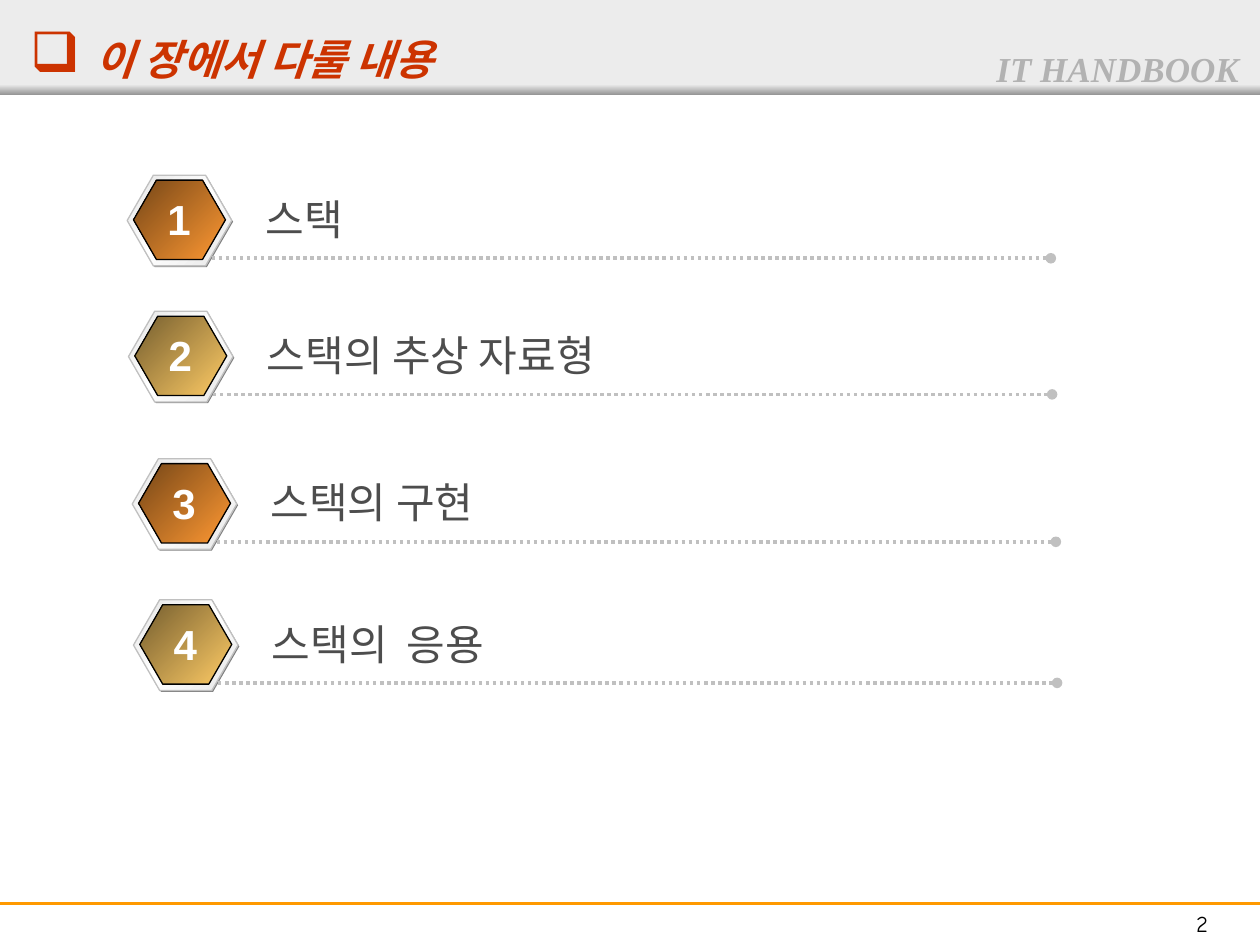
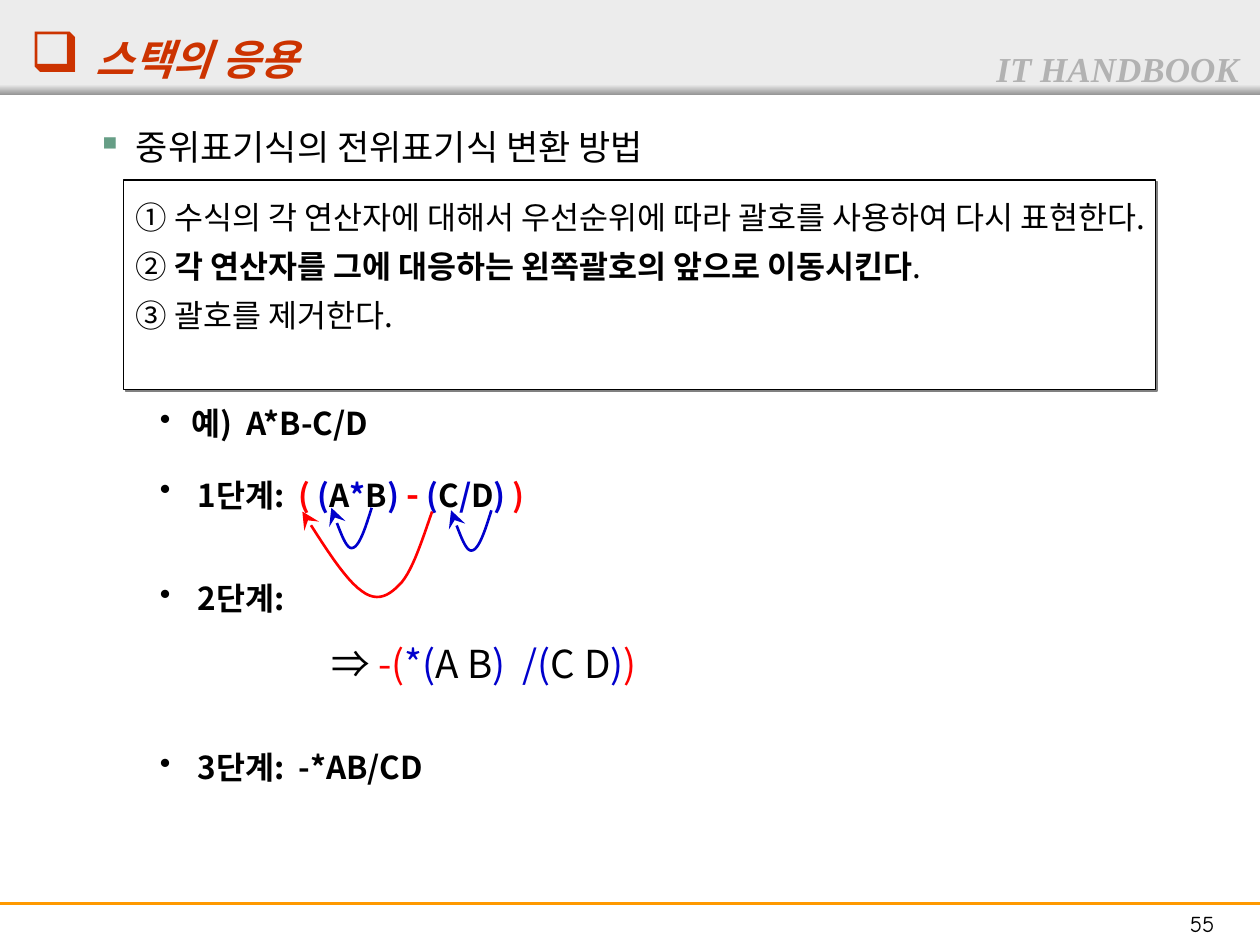
"""Build two lecture slides about stacks: the chapter contents and a prefix conversion."""
from dataclasses import dataclass
from typing import Optional

from lxml.etree import SubElement
from pptx import Presentation
from pptx.dml.color import RGBColor
from pptx.enum.dml import MSO_LINE
from pptx.enum.shapes import MSO_CONNECTOR, MSO_SHAPE
from pptx.enum.text import MSO_ANCHOR, PP_ALIGN
from pptx.oxml.ns import qn
from pptx.util import Inches, Pt

COLORS = {
    "band": "ECECEC", "band_edge": "979797", "footer": "FF9900", "series": "B2B2B2",
    "title": "CC3300", "black": "000000", "white": "FFFFFF", "label": "4D4D4D",
    "rim": "E6E6E6", "silver": "C0C0C0", "shade": "808080", "square": "669E86",
    "orange": "FF9933", "brown": "754617", "gold": "FFCC66", "olive": "755E2F",
    "red": "FF0000", "blue": "0000CC",
}
KOREAN = "Noto Sans CJK KR"
CURVE_STEPS = 12


@dataclass
class Span:
    text: str
    color: Optional[str] = None
    bold: Optional[bool] = None
    size: Optional[float] = None


@dataclass
class Para:
    spans: list[Span]
    size: float
    color: str = "black"
    font: str = KOREAN
    bold: bool = False
    italic: bool = False
    line: Optional[float] = None
    before: float = 0
    margin: float = 0
    hang: float = 0
    bullet: str = ""
    bullet_color: str = "black"
    bullet_percent: int = 100
    align: PP_ALIGN = PP_ALIGN.LEFT


@dataclass
class Topic:
    text: str
    left: float
    top: float
    light: str
    dark: str


@dataclass
class Arrow:
    color: str
    start: tuple
    curves: list


def rgb(name: str) -> RGBColor:
    return RGBColor.from_string(COLORS[name])


def add_bullet(properties, para: Para) -> None:
    if not para.bullet:
        SubElement(properties, qn("a:buNone"))
        return
    color = SubElement(properties, qn("a:buClr"))
    SubElement(color, qn("a:srgbClr"), val=COLORS[para.bullet_color])
    SubElement(properties, qn("a:buSzPct"), val=str(para.bullet_percent * 1000))
    SubElement(properties, qn("a:buChar"), char=para.bullet)


def write_paras(shape, paras: list[Para], top_inset: float = 0.05, wrap: bool = True) -> None:
    frame = shape.text_frame
    frame.word_wrap = wrap
    frame.vertical_anchor = MSO_ANCHOR.TOP
    frame.margin_left = frame.margin_right = Inches(0.1)
    frame.margin_top, frame.margin_bottom = Inches(top_inset), Inches(0.05)
    for index, para in enumerate(paras):
        paragraph = frame.add_paragraph() if index else frame.paragraphs[0]
        properties = paragraph._p.get_or_add_pPr()
        properties.set("marL", str(Inches(para.margin)))
        properties.set("indent", str(Inches(-para.hang)))
        add_bullet(properties, para)
        paragraph.alignment = para.align
        if para.line:
            paragraph.line_spacing = Pt(para.line)
        if para.before:
            paragraph.space_before = Pt(para.before)
        font = paragraph.font
        font.size, font.bold, font.italic = Pt(para.size), para.bold, para.italic
        font.color.rgb = rgb(para.color)
        font.name = para.font
        SubElement(properties.find(qn("a:defRPr")), qn("a:ea"), typeface=para.font)
        for span in para.spans:
            run = paragraph.add_run()
            run.text = span.text
            if span.color:
                run.font.color.rgb = rgb(span.color)
            if span.bold is not None:
                run.font.bold = span.bold
            if span.size:
                run.font.size = Pt(span.size)


def add_text(page, left: float, top: float, width: float, height: float,
             paras: list[Para], top_inset: float = 0.05, wrap: bool = True) -> None:
    box = page.shapes.add_textbox(Inches(left), Inches(top), Inches(width), Inches(height))
    write_paras(box, paras, top_inset, wrap)


def fill_gradient(shape, stops: list[str], angle: int) -> None:
    shape.fill.gradient()
    gradient = shape._element.spPr.find(qn("a:gradFill"))
    for child in list(gradient):
        gradient.remove(child)
    stop_list = SubElement(gradient, qn("a:gsLst"))
    for index, name in enumerate(stops):
        position = 100000 * index // (len(stops) - 1)
        stop = SubElement(stop_list, qn("a:gs"), pos=str(position))
        SubElement(stop, qn("a:srgbClr"), val=COLORS[name])
    SubElement(gradient, qn("a:lin"), ang=str(angle * 60000), scaled="0")


def add_block(page, kind: MSO_SHAPE, left: float, top: float, width: float, height: float,
              fill: list[str], angle: int = 0, line: Optional[str] = None):
    shape = page.shapes.add_shape(kind, Inches(left), Inches(top), Inches(width), Inches(height))
    shape.shadow.inherit = False
    if len(fill) > 1:
        fill_gradient(shape, fill, angle)
    else:
        shape.fill.solid()
        shape.fill.fore_color.rgb = rgb(fill[0])
    if line:
        shape.line.color.rgb = rgb(line)
        shape.line.width = Pt(0.75)
    else:
        shape.line.fill.background()
    return shape


def add_line(page, left: float, right: float, top: float, color: str, width: float):
    line = page.shapes.add_connector(
        MSO_CONNECTOR.STRAIGHT, Inches(left), Inches(top), Inches(right), Inches(top))
    line.line.color.rgb = rgb(color)
    line.line.width = Pt(width)
    SubElement(line._element.spPr, qn("a:effectLst"))
    return line


def add_tail(shape, kind: str, size: str) -> None:
    outline = shape._element.spPr.find(qn("a:ln"))
    SubElement(outline, qn("a:tailEnd"), type=kind, w=size, len=size)


def add_page(deck, title: str, number: int):
    page = deck.slides.add_slide(deck.slide_layouts[6])
    add_block(page, MSO_SHAPE.RECTANGLE, 0, 0, 10, 0.75, ["band"])
    add_block(page, MSO_SHAPE.RECTANGLE, 0, 0.67, 10, 0.08, ["band", "band_edge"], 90)
    add_line(page, 0, 10, 7.17, "footer", 1.5)
    add_text(page, 7.81, 0.33, 2.19, 0.44, [
        Para([Span("IT HANDBOOK")], 20, "series", "Times New Roman", True, True)])
    add_text(page, 9.08, 7.17, 0.92, 0.32, [
        Para([Span(str(number))], 13, font="Comic Neue", align=PP_ALIGN.CENTER)])
    add_text(page, 0.14, 0.14, 9, 0.46, [
        Para([Span(title)], 24, "title", bold=True, italic=True, line=38, margin=0.52,
             hang=0.52, bullet="❑", bullet_color="title", bullet_percent=133)], top_inset=0)
    return page


def add_hexagon(page, left: float, top: float, width: float, height: float,
                fill: list[str], line: Optional[str] = None) -> None:
    hexagon = add_block(page, MSO_SHAPE.HEXAGON, left, top, width, height, fill, 225, line)
    hexagon.adjustments[0] = 0.289
    hexagon.adjustments[1] = 1.155


def add_topic(page, number: int, topic: Topic) -> None:
    left, top = topic.left, topic.top
    add_hexagon(page, left + 0.01, top + 0.01, 0.83, 0.72, ["shade"])
    add_hexagon(page, left, top, 0.83, 0.72, ["rim", "white", "rim"], "silver")
    add_hexagon(page, left + 0.05, top + 0.04, 0.73, 0.63, [topic.light, topic.dark], "black")
    rule = add_line(page, left + 0.67, left + 7.33, top + 0.66, "silver", 2)
    rule.line.dash_style = MSO_LINE.ROUND_DOT
    add_tail(rule, "oval", "med")
    add_text(page, left + 1, top + 0.08, 6.25, 0.5, [
        Para([Span(topic.text)], 24, "label", line=30)])
    add_text(page, left + 0.22, top + 0.1, 0.38, 0.5, [
        Para([Span(str(number))], 24, "white", "Arial", True, align=PP_ALIGN.CENTER)], wrap=False)


def curve_points(start: tuple, controls: tuple) -> list[tuple]:
    points = []
    for step in range(1, CURVE_STEPS + 1):
        t = step / CURVE_STEPS
        weights = ((1 - t) ** 3, 3 * t * (1 - t) ** 2, 3 * t * t * (1 - t), t ** 3)
        corners = (start, *controls)
        points.append(tuple(
            Inches(sum(weight * corner[axis] for weight, corner in zip(weights, corners)))
            for axis in (0, 1)))
    return points


def add_arrow(page, arrow: Arrow) -> None:
    start = arrow.start
    builder = page.shapes.build_freeform(Inches(start[0]), Inches(start[1]))
    for controls in arrow.curves:
        builder.add_line_segments(curve_points(start, controls), close=False)
        start = controls[-1]
    shape = builder.convert_to_shape()
    shape.shadow.inherit = False
    shape.fill.background()
    shape.line.color.rgb = rgb(arrow.color)
    shape.line.width = Pt(1.5)
    add_tail(shape, "stealth", "lg")


def small_loop(right: float, top: float) -> Arrow:
    return Arrow("blue", (right, top), [
        ((right - 0.05, top + 0.16), (right - 0.1, top + 0.32), (right - 0.16, top + 0.32)),
        ((right - 0.21, top + 0.32), (right - 0.26, top + 0.16), (right - 0.32, top))])


def step_para(spans: list[Span], before: float, margin: float = 1.3) -> Para:
    return Para(spans, 18, bold=True, line=26, before=before, margin=margin,
                hang=margin - 1, bullet="•")


def add_contents_page(deck) -> None:
    page = add_page(deck, "이 장에서 다룰 내용", 2)
    topics = [
        Topic("스택", 1.01, 1.39, "orange", "brown"),
        Topic("스택의 추상 자료형", 1.02, 2.47, "gold", "olive"),
        Topic("스택의 구현", 1.05, 3.64, "orange", "brown"),
        Topic("스택의  응용", 1.06, 4.76, "gold", "olive"),
    ]
    for number, topic in enumerate(topics, 1):
        add_topic(page, number, topic)


def add_method_box(page) -> None:
    box = add_block(page, MSO_SHAPE.RECTANGLE, 0.98, 1.43, 8.19, 1.66, ["white"], line="black")
    shadow = SubElement(box._element.spPr.find(qn("a:effectLst")), qn("a:outerShdw"),
                        dist=str(Pt(1.4)), dir="2700000", algn="ctr", rotWithShape="0")
    SubElement(shadow, qn("a:srgbClr"), val=COLORS["shade"])
    rules = [
        [Span("① 수식의 각 연산자에 대해서 우선순위에 따라 괄호를 사용하여 다시 표현한다.")],
        [Span("② "), Span("각 연산자를 그에 대응하는 왼쪽괄호의 앞으로 이동시킨다", bold=True), Span(".")],
        [Span("③ 괄호를 제거한다.")],
    ]
    write_paras(box, [Para(spans, 18, line=28) for spans in rules])


def add_conversion_page(deck) -> None:
    page = add_page(deck, "스택의 응용", 55)
    grouped = [
        Span("1단계:  "), Span("( ", "red"), Span("(", "blue"), Span("A"), Span("*", "blue"),
        Span("B"), Span(") ", "blue"), Span("-", "red", size=20), Span(" "), Span("(", "blue"),
        Span("C"), Span("/", "blue"), Span("D"), Span(") ", "blue"), Span(")", "red")]
    moved = [
        Span("⇒ "), Span("-(", "red"), Span("*(", "blue"), Span("A B"), Span(")  /(", "blue"),
        Span("C D"), Span(")", "blue"), Span(")", "red")]
    add_text(page, 0.17, 0.88, 9.45, 6.18, [
        Para([Span("중위표기식의 전위표기식 변환 방법")], 20, line=29, margin=0.81, hang=0.31,
             bullet="▪", bullet_color="square"),
        step_para([Span("예)  A*B-C/D")], 130.5, 1.25),
        step_para(grouped, 15.5),
        step_para([Span("2단계:")], 32.5),
        Para(moved, 22, line=26, before=13.5, margin=2.36),
        step_para([Span("3단계:  -*AB/CD")], 31),
    ])
    add_method_box(page)
    add_arrow(page, small_loop(2.95, 4.03))
    add_arrow(page, small_loop(3.9, 4.05))
    add_arrow(page, Arrow("red", (3.43, 4.06), [
        ((3.35, 4.29), (3.28, 4.51), (3.19, 4.62)),
        ((3.1, 4.72), (3, 4.79), (2.87, 4.69)),
        ((2.74, 4.6), (2.57, 4.33), (2.4, 4.06))]))


def main() -> None:
    deck = Presentation()
    deck.slide_width, deck.slide_height = Inches(10), Inches(7.5)
    add_contents_page(deck)
    add_conversion_page(deck)
    deck.save("out.pptx")


if __name__ == "__main__":
    main()
